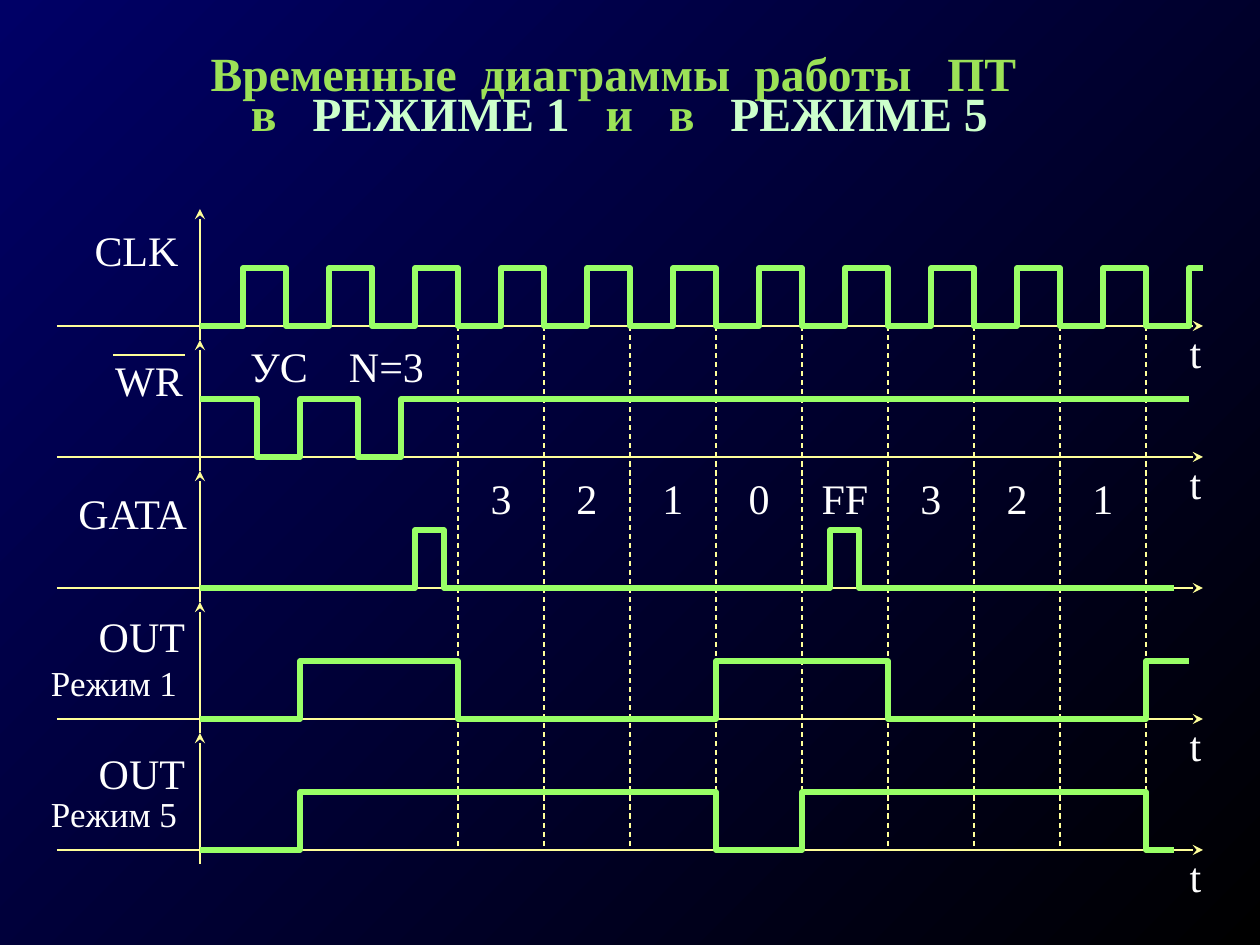
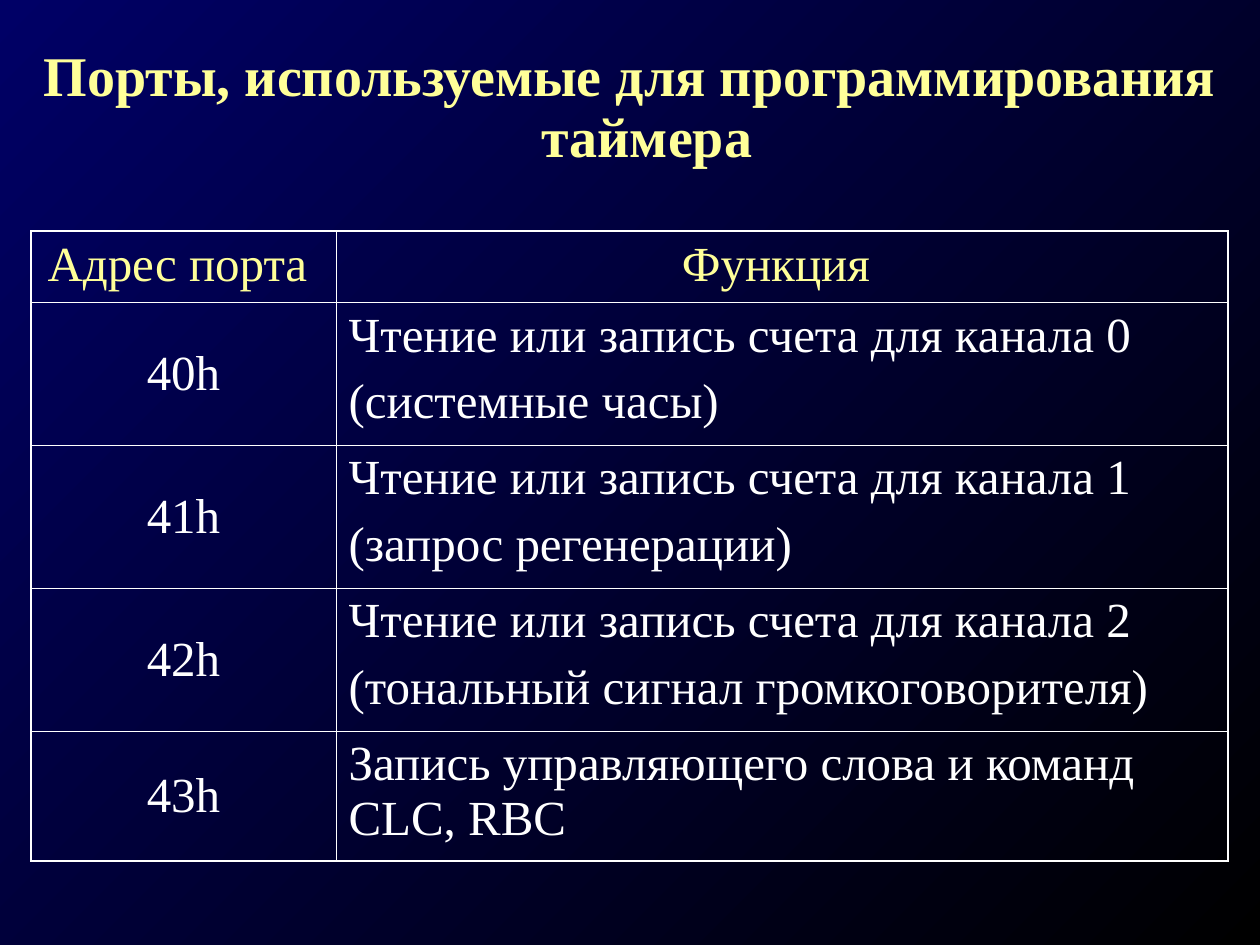
from lxml import etree
from pptx import Presentation
from pptx import util as u
from pptx.dml import color
from pptx.enum import dml, shapes, text
from pptx.oxml import ns

PX = 914400 / 126
FONT = "Times New Roman"
COLORS = {"navy": "000066", "black": "000000", "lime": "9CE157", "mint": "CCFFCC",
          "yellow": "FFFF99", "white": "FFFFFF", "signal": "99FF66"}
CENTER, LEFT, RIGHT = text.PP_ALIGN.CENTER, text.PP_ALIGN.LEFT, text.PP_ALIGN.RIGHT

# Timing diagram, measured from the foot of a row's vertical axis
PERIOD = 86
ROW_PITCH = 131
AMPLITUDE = 58
AXIS_BACK, AXIS_END = -143, 1003
AXIS_DROP, AXIS_RISE = 14, -117
FIRST_COUNT = 3 * PERIOD
COUNTS = ["3", "2", "1", "0", "FF", "3", "2", "1"]

# starts high, moments of change, end, time mark, labels (text, x, y, width, align, size)
SIGNALS = [
    (False, range(PERIOD // 2, AXIS_END, PERIOD // 2), AXIS_END, True,
     [("CLK", -114, -102, 101, CENTER, 24)]),
    (True, [57, 100, 158, 201], 989, True,
     [("WR", -87, -102, 72, CENTER, 24), ("УС", 43, -117, 72, CENTER, 24),
      ("N=3", 143, -117, 87, CENTER, 24)]),
    (False, [215, 244, 630, 659], 974, False,
     [("GATA", -147, -101, 134, RIGHT, 24)]),
    (False, [100, 258, 516, 688, 946], 989, True,
     [("OUT", -116, -109, 101, RIGHT, 24), ("Режим 1", -158, -58, 144, CENTER, 20)]),
    (False, [100, 516, 602, 946], 974, True,
     [("OUT", -116, -103, 101, RIGHT, 24), ("Режим 5", -158, -58, 144, CENTER, 20)]),
]

# Each title line: (extra spaces before the word, word, colour)
MODES_TITLE = [
    [(0, "Временные", "lime"), (1, "диаграммы", "lime"), (1, "работы", "lime"),
     (2, "ПТ ", "lime")],
    [(0, "в", "lime"), (2, "РЕЖИМЕ 1", "mint"), (2, "и", "lime"), (2, "в", "lime"),
     (2, "РЕЖИМЕ 5", "mint")],
]
PORTS_TITLE = [[(0, "Порты, используемые для программирования таймера ", "yellow")]]

PORTS = [
    ("Адрес порта ", ["Функция "]),
    ("40h", ["Чтение или запись счета для канала 0", "(системные часы)"]),
    ("41h", ["Чтение или запись счета для канала 1", "(запрос регенерации)"]),
    ("42h", ["Чтение или запись счета для канала 2", "(тональный сигнал громкоговорителя)"]),
    ("43h", ["Запись управляющего слова и команд CLC, RBC"]),
]


def px(length):
    return u.Emu(round(length * PX))


def rgb(name):
    return color.RGBColor.from_string(COLORS[name])


def add_run(paragraph, words, size, colour, bold=False):
    run = paragraph.add_run()
    run.text = words
    run.font.name = FONT
    run.font.size = u.Pt(size)
    run.font.bold = bold
    run.font.color.rgb = rgb(colour)
    return run


def set_background(master):
    fill = master.background.fill
    fill.gradient()
    fill.gradient_angle = 315
    for stop, name in zip(fill.gradient_stops, ("navy", "black")):
        stop.color.rgb = rgb(name)


def set_title(slide, box, lines, size, spacing, hanging=0):
    title = slide.shapes.title
    title.left, title.top, title.width, title.height = map(px, box)
    frame = title.text_frame
    frame.word_wrap = True
    frame.auto_size = text.MSO_AUTO_SIZE.NONE
    frame.vertical_anchor = text.MSO_ANCHOR.TOP
    for number, line in enumerate(lines):
        paragraph = frame.add_paragraph() if number else frame.paragraphs[0]
        paragraph.alignment = CENTER
        paragraph.line_spacing = spacing
        paragraph.space_before = u.Pt(0)
        properties = paragraph._p.get_or_add_pPr()
        properties.set("marL", str(px(hanging)))
        properties.set("indent", str(px(-hanging)))
        for extra, word, colour in line:
            if extra:
                gap = add_run(paragraph, " ", size, colour, True)
                gap._r.get_or_add_rPr().set("spc", str(round(extra * size * 25)))
            add_run(paragraph, word, size, colour, True)


def add_label(slide, words, x, y, width, align=CENTER, size=24):
    label = slide.shapes.add_textbox(px(x), px(y), px(width), px(44))
    frame = label.text_frame
    frame.word_wrap = True
    frame.margin_left = frame.margin_right = frame.margin_top = frame.margin_bottom = 0
    frame.paragraphs[0].alignment = align
    add_run(frame.paragraphs[0], words, size, "white")


def add_line(slide, x1, y1, x2, y2, width=0.75, dashed=False, arrow=False):
    line = slide.shapes.add_connector(shapes.MSO_CONNECTOR.STRAIGHT,
                                      px(x1), px(y1), px(x2), px(y2))
    line.line.color.rgb = rgb("yellow")
    line.line.width = u.Pt(width)
    if dashed:
        line.line.dash_style = dml.MSO_LINE.DASH
    if arrow:
        etree.SubElement(line.line._get_or_add_ln(), ns.qn("a:tailEnd"), type="stealth")
    etree.SubElement(line._element.spPr, ns.qn("a:effectLst"))


def add_signal(slide, left, base, high, changes, end):
    """Draw a square wave that flips its level at each change."""
    level = -AMPLITUDE if high else 0
    wave = slide.shapes.build_freeform(0, level, scale=PX)
    points = []
    for x in changes:
        points.append((x, level))
        level = -AMPLITUDE - level
        points.append((x, level))
    wave.add_line_segments(points + [(end, level)], close=False)
    shape = wave.convert_to_shape(px(left), px(base))
    shape.shadow.inherit = False
    shape.fill.background()
    shape.line.color.rgb = rgb("signal")
    shape.line.width = u.Pt(3)
    etree.SubElement(shape.line._get_or_add_ln(), ns.qn("a:round"))


def signal_row(slide, left, base, high, changes, end, time_mark, labels):
    add_line(slide, left + AXIS_BACK, base, left + AXIS_END, base, arrow=True)
    add_line(slide, left, base + AXIS_DROP, left, base + AXIS_RISE, arrow=True)
    add_signal(slide, left, base, high, changes, end)
    for words, x, y, width, align, size in labels:
        add_label(slide, words, left + x, base + y, width, align, size)
    if time_mark:
        add_label(slide, "t", left + 974, base, 43)


def timing_diagram(slide, left, top):
    """Draw all rows; left, top is where the axes of the first row cross."""
    bases = [top + ROW_PITCH * row for row in range(len(SIGNALS))]
    for number in range(len(COUNTS) + 1):
        x = left + FIRST_COUNT + number * PERIOD
        add_line(slide, x, top, x, bases[-1], dashed=True)
    for base, signal in zip(bases, SIGNALS):
        signal_row(slide, left, base, *signal)
    for number, count in enumerate(COUNTS):
        add_label(slide, count, left + FIRST_COUNT + number * PERIOD, bases[2] - 116, PERIOD)
    overline = bases[1] - 102
    add_line(slide, left - 87, overline, left - 15, overline, width=1)


def set_borders(cell, outer):
    """Give the cell white edges, heavier on the sides named in outer."""
    properties = cell._tc.get_or_add_tcPr()
    for place, side in enumerate("LRTB"):
        width = u.Pt(1.08 if side in outer else 0.45)
        edge = etree.Element(ns.qn(f"a:ln{side}"), w=str(width))
        fill = etree.SubElement(edge, ns.qn("a:solidFill"))
        etree.SubElement(fill, ns.qn("a:srgbClr"), val=COLORS["white"])
        properties.insert(place, edge)


def fill_cell(cell, lines, align, colour, anchor, outer):
    cell.fill.background()
    cell.vertical_anchor = anchor
    set_borders(cell, outer)
    for number, line in enumerate(lines):
        frame = cell.text_frame
        paragraph = frame.add_paragraph() if number else frame.paragraphs[0]
        paragraph.alignment = align
        paragraph.space_before = u.Pt(7 if number else 0)
        add_run(paragraph, line, 28, colour)


def ports_table(slide, left, top, widths, heights):
    table = slide.shapes.add_table(len(heights), len(widths), px(left), px(top),
                                   px(sum(widths)), px(sum(heights))).table
    table.first_row = table.horz_banding = False
    for column, width in zip(table.columns, widths):
        column.width = px(width)
    for number, (height, (port, purpose)) in enumerate(zip(heights, PORTS)):
        table.rows[number].height = px(height)
        heading = number == 0
        ends = "T" if heading else "B" if number == len(PORTS) - 1 else ""
        colour = "yellow" if heading else "white"
        fill_cell(table.cell(number, 0), [port], CENTER, colour,
                  text.MSO_ANCHOR.TOP if heading else text.MSO_ANCHOR.MIDDLE, "L" + ends)
        fill_cell(table.cell(number, 1), purpose, CENTER if heading else LEFT, colour,
                  text.MSO_ANCHOR.TOP, "R" + ends)


def main():
    prs = Presentation()
    prs.slide_width, prs.slide_height = px(1260), px(945)
    set_background(prs.slide_master)
    title_only = prs.slide_layouts[5]

    modes = prs.slides.add_slide(title_only)
    set_title(modes, (84, 53, 1071, 94), MODES_TITLE, 27.2, 0.7)
    timing_diagram(modes, 200, 326)

    ports = prs.slides.add_slide(title_only)
    set_title(ports, (0, 42, 1260, 136), PORTS_TITLE, 32, 0.9, hanging=48)
    ports_table(ports, 31, 231, [305, 892], [71, 143, 143, 143, 130])

    prs.save("out.pptx")


if __name__ == "__main__":
    main()
